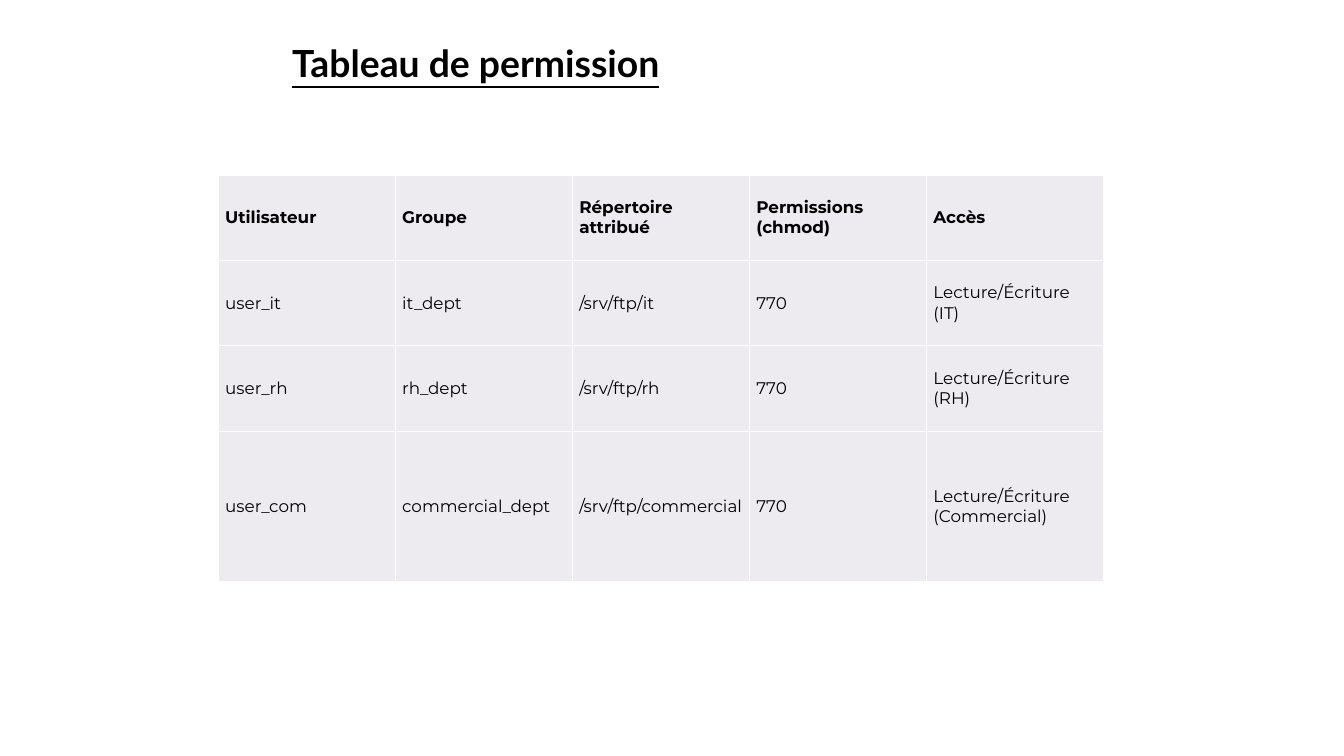
from lxml.etree import SubElement
from pptx import Presentation
from pptx.dml.color import RGBColor
from pptx.enum.text import MSO_ANCHOR
from pptx.oxml.ns import qn
from pptx.util import Pt

PX = 9525  # EMU per pixel, 96 pixels to the inch
BLACK = RGBColor(0x00, 0x00, 0x00)
WHITE = RGBColor(0xFF, 0xFF, 0xFF)
LAVENDER = RGBColor(0xED, 0xEA, 0xF0)

PERMISSIONS = [
    ("Utilisateur", "Groupe", "Répertoire attribué", "Permissions (chmod)", "Accès"),
    ("user_it", "it_dept", "/srv/ftp/it", "770", "Lecture/Écriture (IT)"),
    ("user_rh", "rh_dept", "/srv/ftp/rh", "770", "Lecture/Écriture (RH)"),
    ("user_com", "commercial_dept", "/srv/ftp/commercial", "770",
     "Lecture/Écriture (Commercial)"),
]
COLUMN_WIDTH = 253
ROW_HEIGHTS = [122, 122, 122, 215]


def write(frame, text, *, font, size, bold=False, underline=False, color=BLACK):
    frame.word_wrap = True
    run = frame.paragraphs[0].add_run()
    run.text = text
    run.font.name = font
    run.font.size = Pt(size)
    run.font.bold = bold
    run.font.underline = underline
    run.font.color.rgb = color


def add_borders(cell, color, points):
    """Draw a solid line on all four sides; call before the cell is filled."""
    properties = cell._tc.get_or_add_tcPr()
    for side in ("a:lnL", "a:lnR", "a:lnT", "a:lnB"):
        line = SubElement(properties, qn(side), w=str(Pt(points)))
        solid = SubElement(line, qn("a:solidFill"))
        SubElement(solid, qn("a:srgbClr"), val=str(color))


presentation = Presentation()
presentation.slide_width = 1920 * PX
presentation.slide_height = 1080 * PX
slide = presentation.slides.add_slide(presentation.slide_layouts[6])
slide.background.fill.solid()
slide.background.fill.fore_color.rgb = WHITE

title = slide.shapes.add_textbox(408 * PX, 52 * PX, 1368 * PX, 74 * PX)
write(title.text_frame, "Tableau de permission",
      font="Lato", size=40, bold=True, underline=True)

table = slide.shapes.add_table(
    len(PERMISSIONS), len(PERMISSIONS[0]), 312 * PX, 250 * PX,
    COLUMN_WIDTH * len(PERMISSIONS[0]) * PX, sum(ROW_HEIGHTS) * PX).table
table.first_row = False
table.horz_banding = False

for column in table.columns:
    column.width = COLUMN_WIDTH * PX

for row_index, (entries, height) in enumerate(zip(PERMISSIONS, ROW_HEIGHTS)):
    table.rows[row_index].height = height * PX
    for column_index, entry in enumerate(entries):
        cell = table.cell(row_index, column_index)
        add_borders(cell, WHITE, 1)
        cell.fill.solid()
        cell.fill.fore_color.rgb = LAVENDER
        cell.vertical_anchor = MSO_ANCHOR.MIDDLE
        write(cell.text_frame, entry, font="Montserrat", size=18, bold=row_index == 0)

presentation.save("out.pptx")
